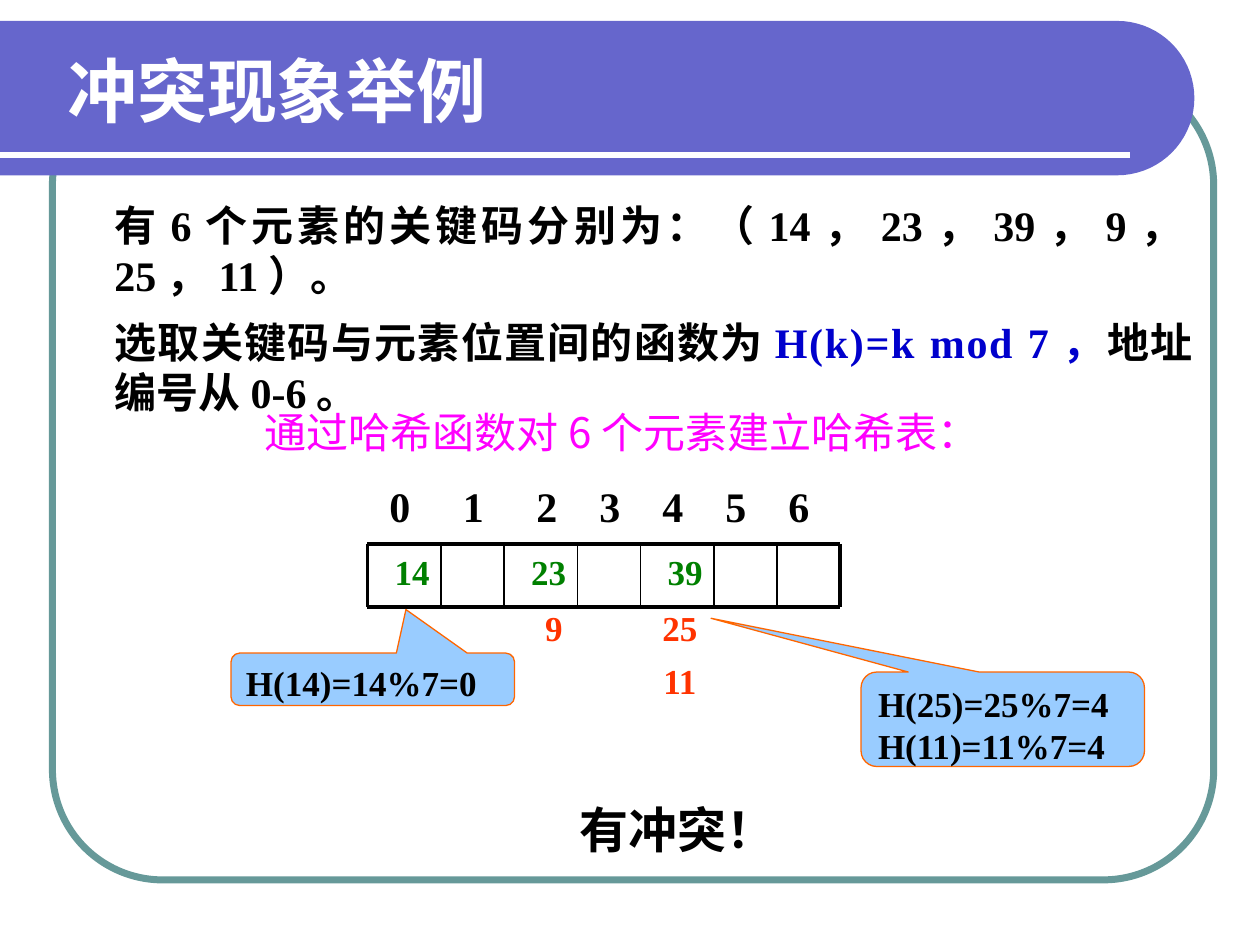
import math
from lxml import etree
from pptx import Presentation, util as u
from pptx.dml.color import RGBColor
from pptx.enum import shapes, text
from pptx.oxml.ns import qn

WHITE = RGBColor(0xFF, 0xFF, 0xFF)
BLACK = RGBColor(0, 0, 0)
TEAL = RGBColor(0x66, 0x99, 0x99)
VIOLET = RGBColor(0x66, 0x66, 0xCC)
BLUE = RGBColor(0, 0, 0xCC)
MAGENTA = RGBColor(0xFF, 0, 0xFF)
GREEN = RGBColor(0, 0x80, 0)
RED = RGBColor(0xFF, 0x33, 0)
SKY = RGBColor(0x99, 0xCC, 0xFF)
ORANGE = RGBColor(0xFF, 0x66, 0)
TIMES, NOTO = "Times New Roman", "Noto Sans CJK SC"

prs = Presentation()
prs.slide_width, prs.slide_height = u.Inches(10), u.Inches(7.5)
COL, ROW = prs.slide_width / 120, prs.slide_height / 90
s = prs.slides.add_slide(prs.slide_layouts[1])
tree = s.shapes


def grid(*values):
    return [round(v * (ROW if i % 2 else COL)) for i, v in enumerate(values)]


def write(p, txt, size=24, font=TIMES, color=BLACK, bold=True, align=None, line=None, track=None):
    if align is not None:
        p.alignment = align
    if line:
        p.line_spacing = u.Pt(line)
    r = p.add_run()
    r.text = txt
    r.font.size, r.font.bold, r.font.name = u.Pt(size), bold, font
    r.font.color.rgb = color
    rpr = r.font._element
    etree.SubElement(rpr, qn("a:ea")).set("typeface", NOTO)
    if track:
        rpr.set("spc", str(track))


frame = tree.add_shape(shapes.MSO_SHAPE.ROUNDED_RECTANGLE, *grid(5, 7.1, 110.6, 76.7))
frame.adjustments[0] = 0.137
frame.fill.background()
frame.line.color.rgb, frame.line.width = TEAL, u.Pt(4)
frame.shadow.inherit = False

radius, cx, cy = 7.35, 106.4, 9.35
arc = [math.radians(a) for a in range(-90, 91, 5)]
fb = tree.build_freeform(*grid(0, cy - radius))
fb.add_line_segments(
    [grid(cx + radius * math.cos(a), cy + radius * math.sin(a)) for a in arc]
    + [grid(0, cy + radius)])
band = fb.convert_to_shape()
band.fill.solid()
band.fill.fore_color.rgb = VIOLET
band.line.fill.background()
band.shadow.inherit = False

edges = [35, 42, 48, 55, 61, 68, 74, 80]
top, bottom = 51.8, 57.8
lines = [(0, 14.75, 107.6, 14.75, WHITE, 3)]
lines += [(edges[0], y, edges[-1], y, BLACK, 2.25) for y in (top, bottom)]
lines += [(x, top, x, bottom, BLACK, 2.25 if x in (edges[0], edges[-1]) else 1) for x in edges]
for x1, y1, x2, y2, color, width in lines:
    ln = tree.add_connector(shapes.MSO_CONNECTOR.STRAIGHT, *grid(x1, y1, x2, y2))
    ln.line.color.rgb, ln.line.width = color, u.Pt(width)
    etree.SubElement(ln._element.spPr, qn("a:effectLst"))

title, body = s.placeholders
for sp, box in ((title, (5.2, 2.5, 105.2, 12)), (body, (9.7, 18.4, 105.1, 17.5))):
    sp.left, sp.top, sp.width, sp.height = grid(*box)
    sp.text_frame.auto_size = text.MSO_AUTO_SIZE.NONE
    tree._spTree.append(sp._element)
title.text_frame.vertical_anchor = text.MSO_ANCHOR.MIDDLE
write(title.text_frame.paragraphs[0], "冲突现象举例", size=40, font=NOTO, color=WHITE,
      align=text.PP_ALIGN.LEFT)

tf = body.text_frame
tf.vertical_anchor = text.MSO_ANCHOR.TOP
facts = [
    [("有6", TIMES, BLACK, None), ("个元素的关键码分别为：（", NOTO, BLACK, None),
     ("14，23，39，9，25，11）。", TIMES, BLACK, None)],
    [("选取关键码与元素位置间的函数为", NOTO, BLACK, None),
     ("H(k)=k mod 7，", TIMES, BLUE, 100), ("地址编号从0-6。", TIMES, BLACK, None)],
]
for i, runs in enumerate(facts):
    p = tf.add_paragraph() if i else tf.paragraphs[0]
    ppr = p._p.get_or_add_pPr()
    ppr.set("marL", "0")
    ppr.set("indent", "0")
    etree.SubElement(ppr, qn("a:buNone"))
    p.space_before = u.Pt(10 if i else 0)
    for txt, font, color, track in runs:
        write(p, txt, font=font, color=color, track=track,
              align=text.PP_ALIGN.JUSTIFY, line=28.6)

CENTER = text.PP_ALIGN.CENTER
labels = [
    ((24, 38.2, 68.4, 6), "通过哈希函数对6个元素建立哈希表：",
     dict(font=NOTO, color=MAGENTA, bold=False, line=28.6)),
    ((54, 74.4, 27.7, 9.1), "有冲突！", dict(size=28)),
]
labels += [((x, y, 6.5, 5.6), n, dict(size=20, color=color, align=CENTER)) for x, y, n, color in (
    (36, top, "14", GREEN), (49, top, "23", GREEN), (62, top, "39", GREEN),
    (49.5, 57.2, "9", RED), (61.5, 57.2, "25", RED), (61.5, 62.2, "11", RED))]
for box, txt, fmt in labels:
    tf = tree.add_textbox(*grid(*box)).text_frame
    tf.word_wrap = True
    write(tf.paragraphs[0], txt, **fmt)
    if txt == "有冲突！":
        tf.vertical_anchor = text.MSO_ANCHOR.MIDDLE

tf = tree.add_textbox(*grid(35, 45.2, 46, 6)).text_frame
tf.word_wrap = True
p = tf.paragraphs[0]
tabs = etree.SubElement(p._p.get_or_add_pPr(), qn("a:tabLst"))
for x in (38.1, 45.1, 52.1, 58.1, 64.1, 70.1, 76.1):
    tab = etree.SubElement(tabs, qn("a:tab"))
    tab.set("pos", str(round((x - edges[0]) * COL - tf.margin_left)))
    tab.set("algn", "ctr")
write(p, "".join(f"\t{n}" for n in range(7)))

callouts = [
    ((22, 62.2, 27, 5), (0.117, -1.329), ["H(14)=14%7=0"]),
    ((82, 64, 27, 9), (-1.029, -1.069), ["H(25)=25%7=4", "H(11)=11%7=4"]),
]
for box, tip, rows in callouts:
    sp = tree.add_shape(shapes.MSO_SHAPE.ROUNDED_RECTANGULAR_CALLOUT, *grid(*box))
    sp.adjustments[0], sp.adjustments[1] = tip
    sp.adjustments[2] = 0.167
    sp.fill.solid()
    sp.fill.fore_color.rgb = SKY
    sp.line.color.rgb, sp.line.width = ORANGE, u.Pt(0.75)
    sp.shadow.inherit = False
    tf = sp.text_frame
    tf.word_wrap = True
    tf.vertical_anchor = text.MSO_ANCHOR.TOP
    for i, txt in enumerate(rows):
        p = tf.add_paragraph() if i else tf.paragraphs[0]
        write(p, txt, size=20, align=text.PP_ALIGN.LEFT)

prs.save("out.pptx")
